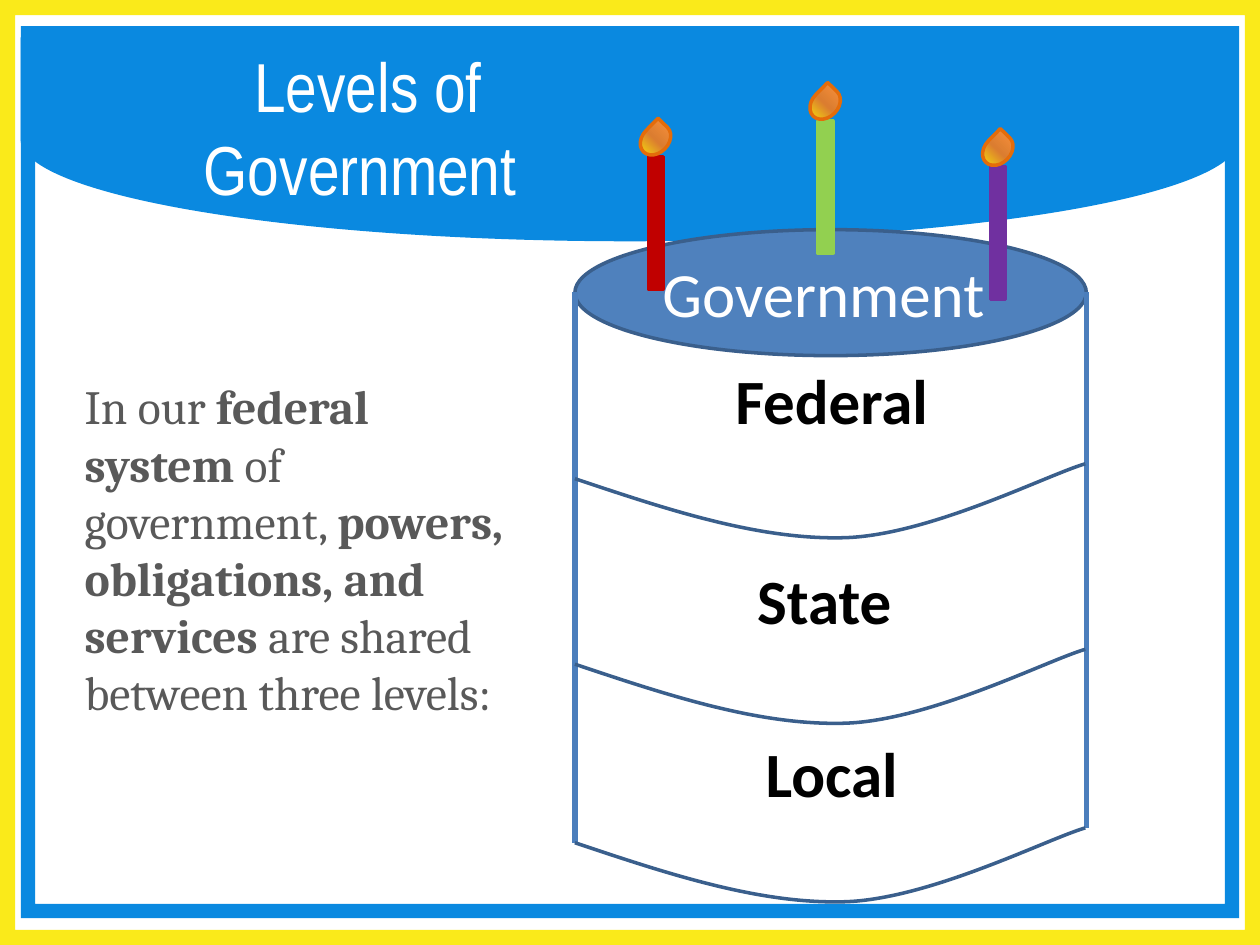
from copy import deepcopy
from dataclasses import dataclass

from lxml import etree
from pptx import Presentation
from pptx.dml.color import RGBColor
from pptx.enum.shapes import MSO_CONNECTOR, MSO_SHAPE
from pptx.enum.text import MSO_ANCHOR, MSO_AUTO_SIZE, PP_ALIGN
from pptx.oxml.ns import qn
from pptx.util import Cm, Pt

DELAY = MSO_SHAPE.FLOWCHART_DELAY
FRAME = MSO_SHAPE.FRAME
OVAL = MSO_SHAPE.OVAL
RECT = MSO_SHAPE.RECTANGLE
TEAR = MSO_SHAPE.TEAR
STRAIGHT = MSO_CONNECTOR.STRAIGHT
TOP, MIDDLE = MSO_ANCHOR.TOP, MSO_ANCHOR.MIDDLE
LEFT, CENTER = PP_ALIGN.LEFT, PP_ALIGN.CENTER
NO_FIT = MSO_AUTO_SIZE.NONE

WHITE = RGBColor(0xFF, 0xFF, 0xFF)
BLACK = RGBColor(0x00, 0x00, 0x00)
GREY = RGBColor(0x59, 0x59, 0x59)
SKY = RGBColor(0x0A, 0x89, 0xE0)
YELLOW = RGBColor(0xFA, 0xEA, 0x1A)
CAKE = RGBColor(0x4F, 0x81, 0xBD)
CAKE_EDGE = RGBColor(0x3A, 0x5F, 0x8C)
CAKE_SIDE = RGBColor(0x4B, 0x7E, 0xBC)
RED = RGBColor(0xC0, 0x00, 0x00)
GREEN = RGBColor(0x92, 0xD0, 0x50)
PURPLE = RGBColor(0x70, 0x30, 0xA0)
FLAME_EDGE = RGBColor(0xE4, 0x6C, 0x0A)
FLAME_STOPS = [
    (0, RGBColor(0xFF, 0xFF, 0x00)),
    (0.5, RGBColor(0xDB, 0x7D, 0x30)),
    (1, RGBColor(0xFF, 0x95, 0x3E)),
]

TITLE_FONT = {"name": "Arial Narrow", "size": Pt(39.6), "bold": False}
BODY_FONT = {"name": "Cambria", "size": Pt(27.2)}
TOP_FONT = {"name": "Calibri", "size": Pt(36), "bold": False}
LABEL_FONT = {"name": "Calibri", "size": Pt(36), "bold": True}

CAKE_LEFT, CAKE_RIGHT, CAKE_MID = 11.59, 21.9, 5.89
CURVE_RISE = 0.3
LAYER_CURVE = [
    [(1.85, 0.62), (3.71, 1.24), (5.44, 1.19)],
    [(7.15, 1.14), (9.53, -0.08), (10.29, -CURVE_RISE)],
]


@dataclass
class Box:
    x: float
    y: float
    w: float
    h: float

    def lengths(self) -> list:
        return [Cm(v) for v in (self.x, self.y, self.w, self.h)]


@dataclass
class Layer:
    label: str
    label_x: float
    label_y: float
    curve_y: float


@dataclass
class Candle:
    x: float
    y: float
    color: RGBColor


LAYERS = [
    Layer("Federal ", 13.81, 7.16, 9.65),
    Layer("State ", 13.66, 11.19, 13.39),
    Layer("Local ", 13.81, 14.68, 16.99),
]
CANDLES = [
    Candle(13.07, 3.16, RED),
    Candle(16.49, 2.44, GREEN),
    Candle(19.97, 3.37, PURPLE),
]


def add_text(p, text: str, fmt: dict, color: RGBColor) -> None:
    r = p.add_run()
    r.text = text
    for key, value in fmt.items():
        setattr(r.font, key, value)
    r.font.color.rgb = color


def format_frame(tf, anchor, align) -> None:
    for key, value in {"word_wrap": True, "auto_size": NO_FIT, "vertical_anchor": anchor}.items():
        setattr(tf, key, value)
    tf.paragraphs[0].alignment = align


def set_line(sp, color: RGBColor, width: float) -> None:
    sp.line.color.rgb = color
    sp.line.width = Pt(width)


def add_shape(s, kind, box: Box, fill: RGBColor, edge: RGBColor | None = None):
    sp = s.shapes.add_shape(kind, *box.lengths())
    sp.shadow.inherit = False
    sp.fill.solid()
    sp.fill.fore_color.rgb = fill
    if edge is None:
        sp.line.fill.background()
    else:
        set_line(sp, edge, 2)
    return sp


def place(s, sp, box: Box) -> None:
    for key, value in zip(("left", "top", "width", "height"), box.lengths()):
        setattr(sp, key, value)
    s.shapes.element.append(sp.element)


def add_side(s, x: float, bottom: float) -> None:
    line = s.shapes.add_connector(STRAIGHT, Cm(x), Cm(CAKE_MID), Cm(x), Cm(bottom))
    set_line(line, CAKE_SIDE, 3)
    etree.SubElement(line.element.spPr, qn("a:effectLst"))


def add_curve(s, y: float) -> None:
    ends = [seg[-1] for seg in LAYER_CURVE]
    ff = s.shapes.build_freeform(Cm(CAKE_LEFT), Cm(y))
    ff.add_line_segments([(Cm(CAKE_LEFT + dx), Cm(y + dy)) for dx, dy in ends], close=False)
    sp = ff.convert_to_shape()
    sp.shadow.inherit = False
    sp.fill.background()
    set_line(sp, CAKE_EDGE, 2)
    lines = list(sp.element.spPr.iter(qn("a:lnTo")))
    for line, seg in zip(lines, LAYER_CURVE):
        curve = etree.Element(qn("a:cubicBezTo"))
        for dx, dy in seg:
            pt = etree.SubElement(curve, qn("a:pt"))
            pt.set("x", str(int(Cm(dx))))
            pt.set("y", str(int(Cm(dy + CURVE_RISE))))
        line.getparent().replace(line, curve)


def add_label(s, layer: Layer) -> None:
    tb = s.shapes.add_textbox(*Box(layer.label_x, layer.label_y, 6.2, 1.8).lengths())
    format_frame(tb.text_frame, TOP, CENTER)
    add_text(tb.text_frame.paragraphs[0], layer.label, LABEL_FONT, BLACK)


def add_flame(s, candle: Candle) -> None:
    box = Box(candle.x - 0.12, candle.y - 0.69, 0.53, 0.69)
    sp = add_shape(s, TEAR, box, FLAME_STOPS[0][1], FLAME_EDGE)
    sp.rotation = 44.3
    sp.element.spPr.find(qn("a:xfrm")).set("flipH", "1")
    sp.fill.gradient()
    sp.fill.gradient_angle = 90
    stops = sp.element.spPr.find(qn("a:gradFill")).find(qn("a:gsLst"))
    stops.append(deepcopy(stops[-1]))
    for stop, (position, color) in zip(sp.fill.gradient_stops, FLAME_STOPS):
        stop.position = position
        stop.color.rgb = color


def add_backdrop(s) -> None:
    add_shape(s, DELAY, Box(10.64, -9.47, 4.11, 24.56), SKY).rotation = 90
    for box, color in [(Box(0, 0, 25.4, 19.05), YELLOW), (Box(0.42, 0.53, 24.56, 17.98), SKY)]:
        add_shape(s, FRAME, box, color).adjustments[0] = 0.016


def fill_placeholders(s) -> None:
    title, body = s.shapes.title, s.placeholders[1]
    place(s, title, Box(2.3, 0.95, 10.24, 3.18))
    format_frame(title.text_frame, MIDDLE, CENTER)
    add_text(title.text_frame.paragraphs[0], "Levels of Government ", TITLE_FONT, WHITE)

    place(s, body, Box(1.45, 7.48, 9.14, 7.42))
    format_frame(body.text_frame, TOP, LEFT)
    p = body.text_frame.paragraphs[0]
    pPr = p._p.get_or_add_pPr()
    pPr.set("marL", "0")
    pPr.set("indent", "0")
    etree.SubElement(pPr, qn("a:buNone"))
    p.space_before = Pt(0)
    for text, bold in [
        ("In our ", False),
        ("federal system", True),
        (" of government, ", False),
        ("powers, obligations, and services", True),
        (" are shared between three levels:", False),
    ]:
        add_text(p, text, {**BODY_FONT, "bold": bold}, GREY)


def add_cake(s) -> None:
    box = Box(CAKE_LEFT, 4.63, CAKE_RIGHT - CAKE_LEFT, 2.54)
    tf = add_shape(s, OVAL, box, CAKE, CAKE_EDGE).text_frame
    format_frame(tf, MIDDLE, CENTER)
    add_text(tf.paragraphs[0], "Government ", TOP_FONT, WHITE)
    add_side(s, CAKE_LEFT, 16.99)
    add_side(s, CAKE_RIGHT, 16.69)
    for layer in LAYERS:
        add_curve(s, layer.curve_y)
        add_label(s, layer)
    for candle in CANDLES:
        add_shape(s, RECT, Box(candle.x, candle.y, 0.3, 2.67), candle.color, candle.color)
        add_flame(s, candle)


def main() -> None:
    prs = Presentation()
    prs.slide_width, prs.slide_height = Cm(25.4), Cm(19.05)
    s = prs.slides.add_slide(prs.slide_layouts[1])
    add_backdrop(s)
    fill_placeholders(s)
    add_cake(s.shapes.add_group_shape())
    prs.save("out.pptx")


if __name__ == "__main__":
    main()
